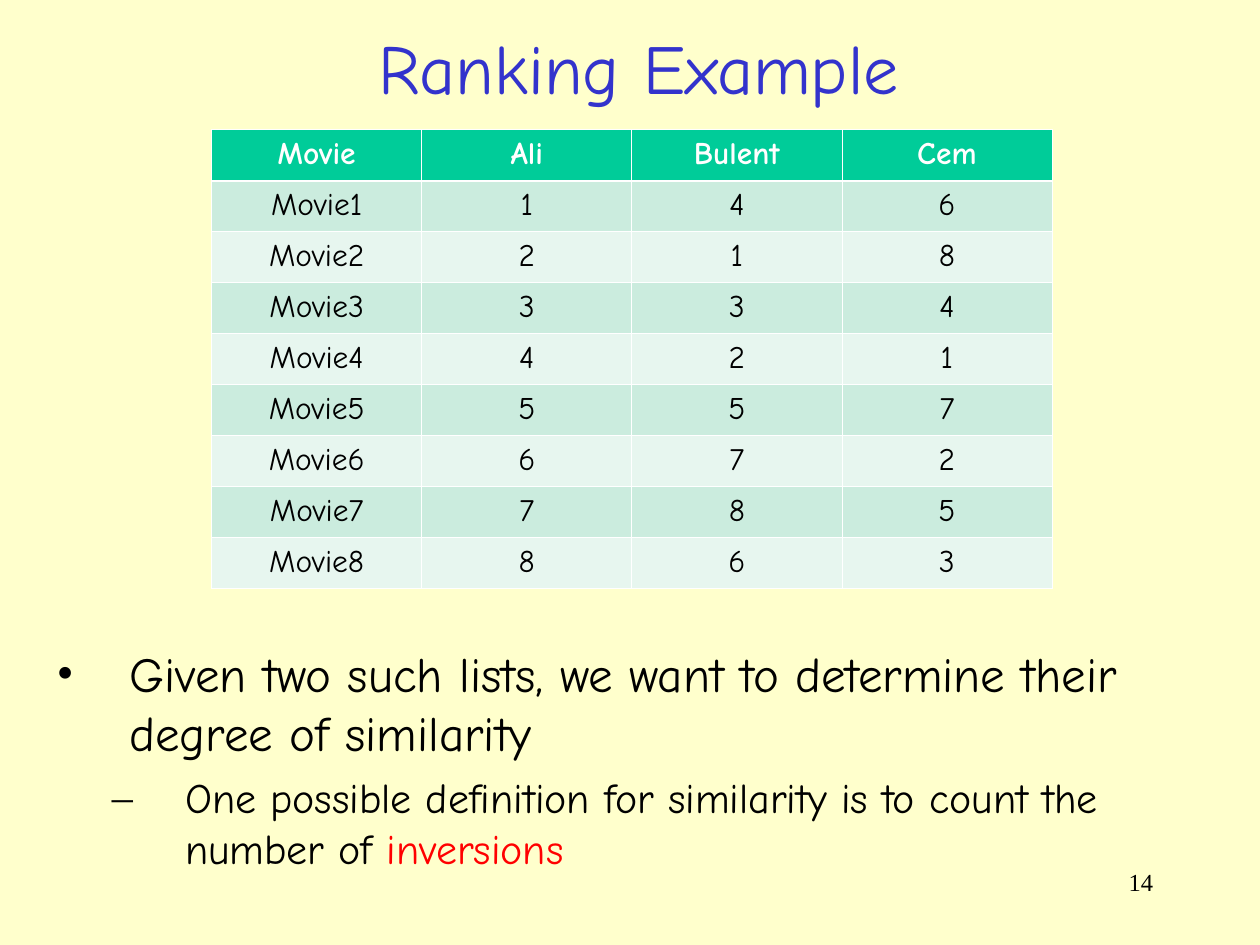
from lxml import etree
from pptx import Presentation
from pptx.dml.color import RGBColor
from pptx.enum.text import MSO_ANCHOR, PP_ALIGN
from pptx.oxml.ns import qn
from pptx.util import Inches, Pt

CENTER, RIGHT, LEFT = PP_ALIGN.CENTER, PP_ALIGN.RIGHT, PP_ALIGN.LEFT
TOP, MIDDLE = MSO_ANCHOR.TOP, MSO_ANCHOR.MIDDLE
HAND, SERIF = "Comic Neue", "Times New Roman"
COLORS = {
    "page": "FFFFCC", "title": "3333CC", "text": "000000", "mark": "FF0000",
    "head": "00CC99", "odd": "CBECDE", "even": "E7F6EF", "white": "FFFFFF",
}

TITLE = "Ranking Example"
NUMBER = "14"
NAMES = ["Movie", "Ali", "Bulent", "Cem"]
RANKS = [
    (1, 4, 6), (2, 1, 8), (3, 3, 4), (4, 2, 1),
    (5, 5, 7), (6, 7, 2), (7, 8, 5), (8, 6, 3),
]
POINTS = [
    {"level": 0, "sign": "•", "left": 0.58, "before": 7, "size": 28,
     "runs": [("Given two such lists, we want to determine their degree of similarity", "text")]},
    {"level": 1, "sign": "–", "left": 1.02, "before": 6, "size": 24,
     "runs": [("One possible definition for similarity is to count the number of ", "text"),
              ("inversions", "mark")]},
]
HANG = 0.58
TABLE = (1.68, 1.03, 6.67, 3.64)
THIN, THICK = 0.45, 1.47


def rgb(name):
    return RGBColor.from_string(COLORS[name])


def style(par, size, color, face=HAND, bold=False, align=CENTER):
    par.alignment = align
    font = par.font
    font.name, font.size, font.bold = face, Pt(size), bold
    font.color.rgb = rgb(color)


def add_box(slide, area, inset=(0.1, 0.05), anchor=TOP):
    frame = slide.shapes.add_textbox(*map(Inches, area)).text_frame
    frame.word_wrap = True
    frame.vertical_anchor = anchor
    frame.margin_left = frame.margin_right = Inches(inset[0])
    frame.margin_top = frame.margin_bottom = Inches(inset[1])
    return frame


def add_bullet(par, sign, left):
    props = par._p.get_or_add_pPr()
    props.set("marL", str(Inches(left)))
    props.set("indent", str(-Inches(HANG)))
    tint = etree.SubElement(props, qn("a:buClr"))
    etree.SubElement(tint, qn("a:srgbClr"), val=COLORS["text"])
    etree.SubElement(props, qn("a:buFont"), typeface=SERIF)
    etree.SubElement(props, qn("a:buChar"), char=sign)


def add_edges(cell, row):
    props = cell._tc.get_or_add_tcPr()
    widths = {"L": THIN, "R": THIN,
              "T": THICK if row == 1 else THIN,
              "B": THICK if row == 0 else THIN}
    for side, width in widths.items():
        line = etree.SubElement(props, qn("a:ln" + side), w=str(Pt(width)))
        fill = etree.SubElement(line, qn("a:solidFill"))
        etree.SubElement(fill, qn("a:srgbClr"), val=COLORS["white"])


def add_table(slide):
    rows = [NAMES] + [(f"Movie{i}", *ranks) for i, ranks in enumerate(RANKS, 1)]
    grid = slide.shapes.add_table(len(rows), len(NAMES), *map(Inches, TABLE)).table
    for r, row in enumerate(rows):
        head = r == 0
        shade = "head" if head else "odd" if r % 2 else "even"
        for c, value in enumerate(row):
            cell = grid.cell(r, c)
            add_edges(cell, r)
            cell.fill.solid()
            cell.fill.fore_color.rgb = rgb(shade)
            cell.text = str(value)
            style(cell.text_frame.paragraphs[0], 18, "white" if head else "text", bold=head)


def add_points(slide):
    frame = add_box(slide, (0.35, 5.06, 9.42, 1.96))
    for i, point in enumerate(POINTS):
        par = frame.add_paragraph() if i else frame.paragraphs[0]
        par.level = point["level"]
        add_bullet(par, point["sign"], point["left"])
        par.space_before = Pt(point["before"])
        style(par, point["size"], "text", align=LEFT)
        for text, color in point["runs"]:
            run = par.add_run()
            run.text = text
            run.font.color.rgb = rgb(color)


def main():
    deck = Presentation()
    deck.slide_width, deck.slide_height = Inches(10), Inches(7.5)
    slide = deck.slides.add_slide(deck.slide_layouts[6])
    slide.background.fill.solid()
    slide.background.fill.fore_color.rgb = rgb("page")

    number = add_box(slide, (7.17, 6.83, 2.08, 0.5))
    number.text = NUMBER
    style(number.paragraphs[0], 14, "text", SERIF, align=RIGHT)

    title = add_box(slide, (0.3, 0.15, 9.54, 0.76), (0, 0), MIDDLE)
    title.text = TITLE
    style(title.paragraphs[0], 40, "title")

    add_table(slide)
    add_points(slide)
    deck.save("out.pptx")


if __name__ == "__main__":
    main()
